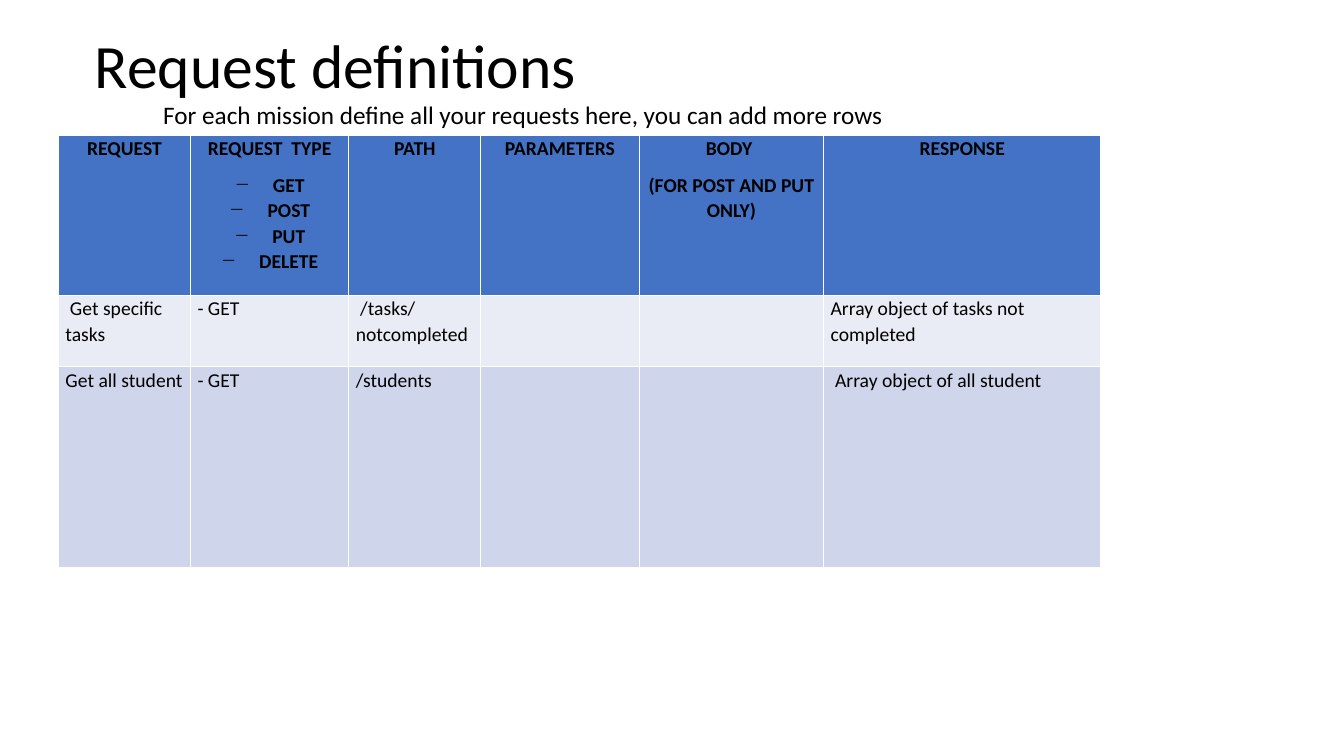
from lxml import etree
from pptx import Presentation
from pptx.dml.color import RGBColor
from pptx.enum.text import MSO_ANCHOR, MSO_AUTO_SIZE, PP_ALIGN
from pptx.oxml.ns import qn
from pptx.util import Inches, Pt

LEFT, CENTER = PP_ALIGN.LEFT, PP_ALIGN.CENTER
MIDDLE = MSO_ANCHOR.MIDDLE
FIT_SHAPE, NO_FIT = MSO_AUTO_SIZE.SHAPE_TO_FIT_TEXT, MSO_AUTO_SIZE.NONE
FONT = "Calibri"
COLORS = {"text": "000000", "header": "4472C4", "border": "FFFFFF",
          "bands": ["E9EBF5", "CFD5EA"]}
COLUMNS = [1.31, 1.57, 1.31, 1.57, 1.83, 2.75]
ROWS = [1.59, 0.71, 1.99]
METHODS = ["GET", "POST", "PUT", "DELETE"]
HEADERS = [["REQUEST"], ["REQUEST  TYPE", *METHODS], ["PATH"], ["PARAMETERS"],
           ["BODY ", "(FOR POST AND PUT ONLY)"], ["RESPONSE"]]
REQUESTS = [
    ["\u00a0Get specific tasks", "- GET\u00a0", "\u00a0/tasks/notcompleted", "", "",
     "Array object of tasks not completed"],
    ["Get all student", "- GET\u00a0", "/students", "", "",
     "\u00a0Array object of all student"],
]


def add_span(para, text, size, bold=False):
    span = para.add_run()
    span.text = text
    span.font.name = FONT
    span.font.size = Pt(size)
    span.font.bold = bold
    span.font.color.rgb = RGBColor.from_string(COLORS["text"])


def place_title(page, box):
    title = page.shapes.title
    title.left, title.top, title.width, title.height = map(Inches, box)
    frame = title.text_frame
    frame.auto_size = NO_FIT
    frame.vertical_anchor = MIDDLE
    para = frame.paragraphs[0]
    para.alignment = LEFT
    para.line_spacing = 0.9
    add_span(para, "Request definitions", 44)


def place_instruction(page, box):
    frame = page.shapes.add_textbox(*map(Inches, box)).text_frame
    frame.word_wrap = False
    frame.auto_size = FIT_SHAPE
    add_span(frame.paragraphs[0],
             "For each mission define all your requests here, you can add more rows ", 18)


def add_dash(para):
    props = para._p.get_or_add_pPr()
    props.set("marL", str(Inches(0.38)))
    props.set("indent", str(Inches(-0.38)))
    etree.SubElement(props, qn("a:buChar"), char="\u2212")


def style_cell(cell, color):
    cell.margin_left = cell.margin_right = Inches(0.07)
    cell.margin_top = cell.margin_bottom = 0
    props = cell._tc.get_or_add_tcPr()
    for side in ("L", "R", "T", "B"):
        line = etree.SubElement(props, qn(f"a:ln{side}"), w=str(Pt(1)))
        fill = etree.SubElement(line, qn("a:solidFill"))
        etree.SubElement(fill, qn("a:srgbClr"), val=COLORS["border"])
    cell.fill.solid()
    cell.fill.fore_color.rgb = RGBColor.from_string(color)


def write_cell(cell, lines, header):
    frame = cell.text_frame
    for index, text in enumerate(lines):
        para = frame.add_paragraph() if index else frame.paragraphs[0]
        para.alignment = CENTER if header else LEFT
        para.line_spacing = 1.07
        para.space_after = Pt(0 if text in METHODS[:-1] else 8)
        if text in METHODS:
            add_dash(para)
        if text:
            add_span(para, text, 14, header)


def place_requests(page, box):
    left, top, width, height = box
    table = page.shapes.add_table(len(ROWS), len(COLUMNS), *map(Inches, box)).table
    for column, share in zip(table.columns, COLUMNS):
        column.width = Inches(width * share / sum(COLUMNS))
    for row, share in zip(table.rows, ROWS):
        row.height = Inches(height * share / sum(ROWS))
    content = [HEADERS] + [[[text] for text in request] for request in REQUESTS]
    fills = [COLORS["header"], *COLORS["bands"]]
    for row_index, (row, color) in enumerate(zip(content, fills)):
        for column_index, lines in enumerate(row):
            cell = table.cell(row_index, column_index)
            style_cell(cell, color)
            write_cell(cell, lines, header=row_index == 0)


deck = Presentation()
deck.slide_width, deck.slide_height = Inches(13.33), Inches(7.5)
page = deck.slides.add_slide(deck.slide_layouts[5])
place_title(page, (0.84, -0.04, 11.5, 1.45))
place_requests(page, (0.58, 1.34, 10.34, 4.29))
place_instruction(page, (1.52, 0.94, 7.48, 0.4))
deck.save("out.pptx")
